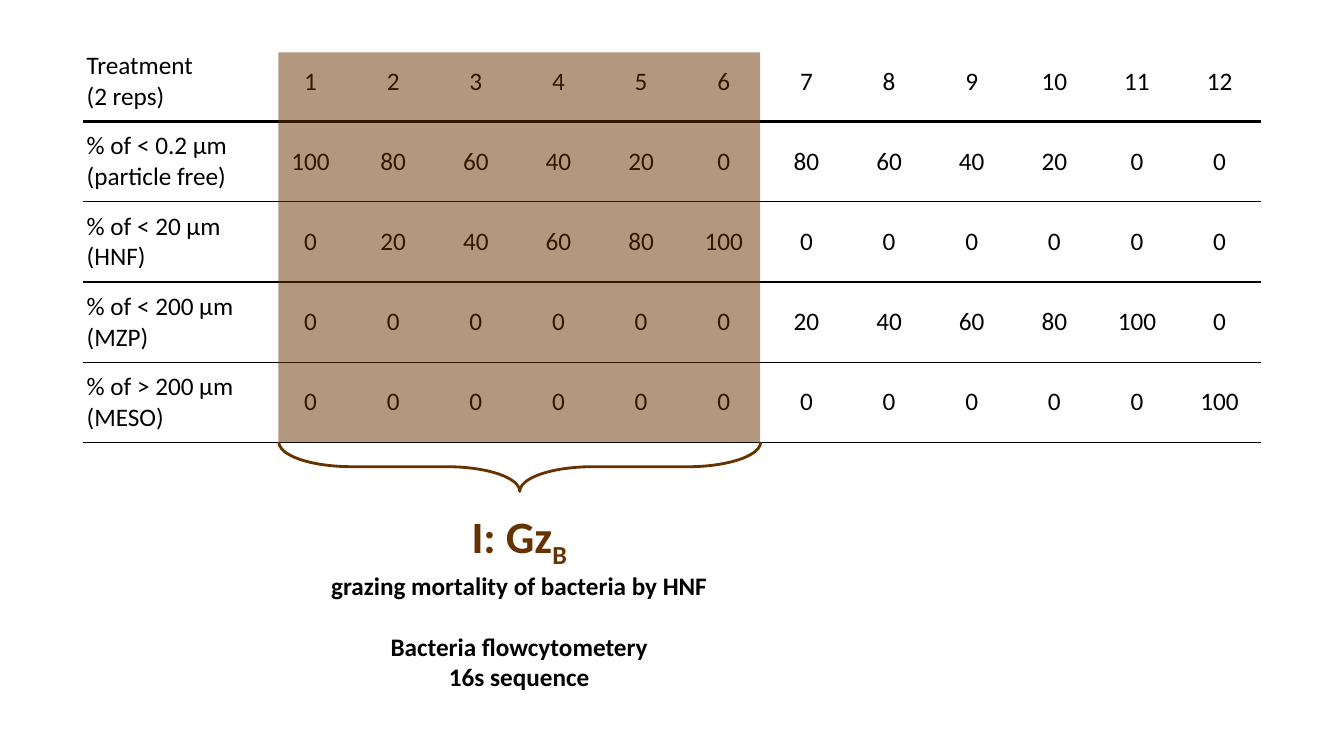
from lxml.etree import SubElement
from pptx import Presentation
from pptx.dml.color import RGBColor
from pptx.enum.shapes import MSO_SHAPE
from pptx.enum.text import MSO_ANCHOR, MSO_AUTO_SIZE, PP_ALIGN
from pptx.oxml.ns import qn
from pptx.util import Inches, Pt

BLACK = RGBColor(0x00, 0x00, 0x00)
BROWN = RGBColor(0x66, 0x33, 0x00)

ROWS = [
    ("Treatment\n(2 reps)", range(1, 13)),
    ("% of < 0.2 μm\n(particle free)", [100, 80, 60, 40, 20, 0, 80, 60, 40, 20, 0, 0]),
    ("% of < 20 μm\n(HNF)", [0, 20, 40, 60, 80, 100] + [0] * 6),
    ("% of < 200 μm\n(MZP)", [0] * 6 + [20, 40, 60, 80, 100, 0]),
    ("% of > 200 μm\n(MESO)", [0] * 11 + [100]),
]


def set_border(cell, side, points):
    line = SubElement(cell._tc.get_or_add_tcPr(), qn("a:ln" + side))
    line.set("w", str(Pt(points)))
    if points:
        fill = SubElement(line, qn("a:solidFill"))
        SubElement(fill, qn("a:srgbClr")).set("val", str(BLACK))
    else:
        SubElement(line, qn("a:noFill"))


def style_paragraph(para, size, color, bold=False, align=PP_ALIGN.CENTER):
    para.alignment = align
    for span in para.runs:
        span.font.name = "Calibri"
        span.font.size = Pt(size)
        span.font.bold = bold
        span.font.color.rgb = color


deck = Presentation()
deck.slide_width, deck.slide_height = Inches(13.33), Inches(7.5)
page = deck.slides.add_slide(deck.slide_layouts[6])

# Treatment table
table = page.shapes.add_table(
    len(ROWS), 13, Inches(0.82), Inches(0.41), Inches(11.69), Inches(3.98)
).table
table.first_row = table.horz_banding = False
for index, column in enumerate(table.columns):
    column.width = Inches(0.82 if index else 1.85)

# Line weight above each row, and below the last one
rules = [0, 3, 1, 1, 1, 1]
for row, (label, values) in enumerate(ROWS):
    table.rows[row].height = Inches(3.98 / len(ROWS))
    for col, text in enumerate([label, *values]):
        cell = table.cell(row, col)
        cell.text_frame.text = str(text)
        cell.vertical_anchor = MSO_ANCHOR.MIDDLE
        cell.margin_left = cell.margin_right = Inches(0.04)
        cell.margin_top = cell.margin_bottom = Inches(0.02)
        for para in cell.text_frame.paragraphs:
            style_paragraph(para, 18, BLACK, align=PP_ALIGN.CENTER if col else PP_ALIGN.LEFT)
        for side, points in zip("LRTB", (0, 0, rules[row], rules[row + 1])):
            set_border(cell, side, points)
        cell.fill.background()

# Translucent band over treatments 1 to 6
band = page.shapes.add_shape(
    MSO_SHAPE.RECTANGLE, Inches(2.76), Inches(0.52), Inches(4.78), Inches(3.87)
)
band.shadow.inherit = False
band.fill.solid()
band.fill.fore_color.rgb = BROWN
band_color = band.fill._xPr.find(qn("a:solidFill")).find(qn("a:srgbClr"))
SubElement(band_color, qn("a:alpha")).set("val", "50000")
band.line.fill.background()

# Brace under the band
brace = page.shapes.add_shape(
    MSO_SHAPE.RIGHT_BRACE, Inches(4.91), Inches(2.24), Inches(0.49), Inches(4.78)
)
brace.rotation = 90
brace.adjustments[0] = 1.475
brace.shadow.inherit = False
brace.fill.background()
brace.line.color.rgb = BROWN
brace.line.width = Pt(2)

# Caption under the brace
caption = page.shapes.add_textbox(Inches(3.17), Inches(5), Inches(3.96), Inches(1.85))
frame = caption.text_frame
frame.word_wrap = False
frame.auto_size = MSO_AUTO_SIZE.SHAPE_TO_FIT_TEXT
frame.text = "I: Gz\ngrazing mortality of bacteria by HNF\nBacteria flowcytometery\n16s sequence"
heading, *details = frame.paragraphs
subscript = heading.add_run()
subscript.text = "B"
style_paragraph(heading, 32, BROWN, bold=True)
subscript.font._element.set("baseline", "-25000")
for para in details:
    style_paragraph(para, 18, BLACK, bold=True)
details[1].space_before = Pt(22)

deck.save("out.pptx")
